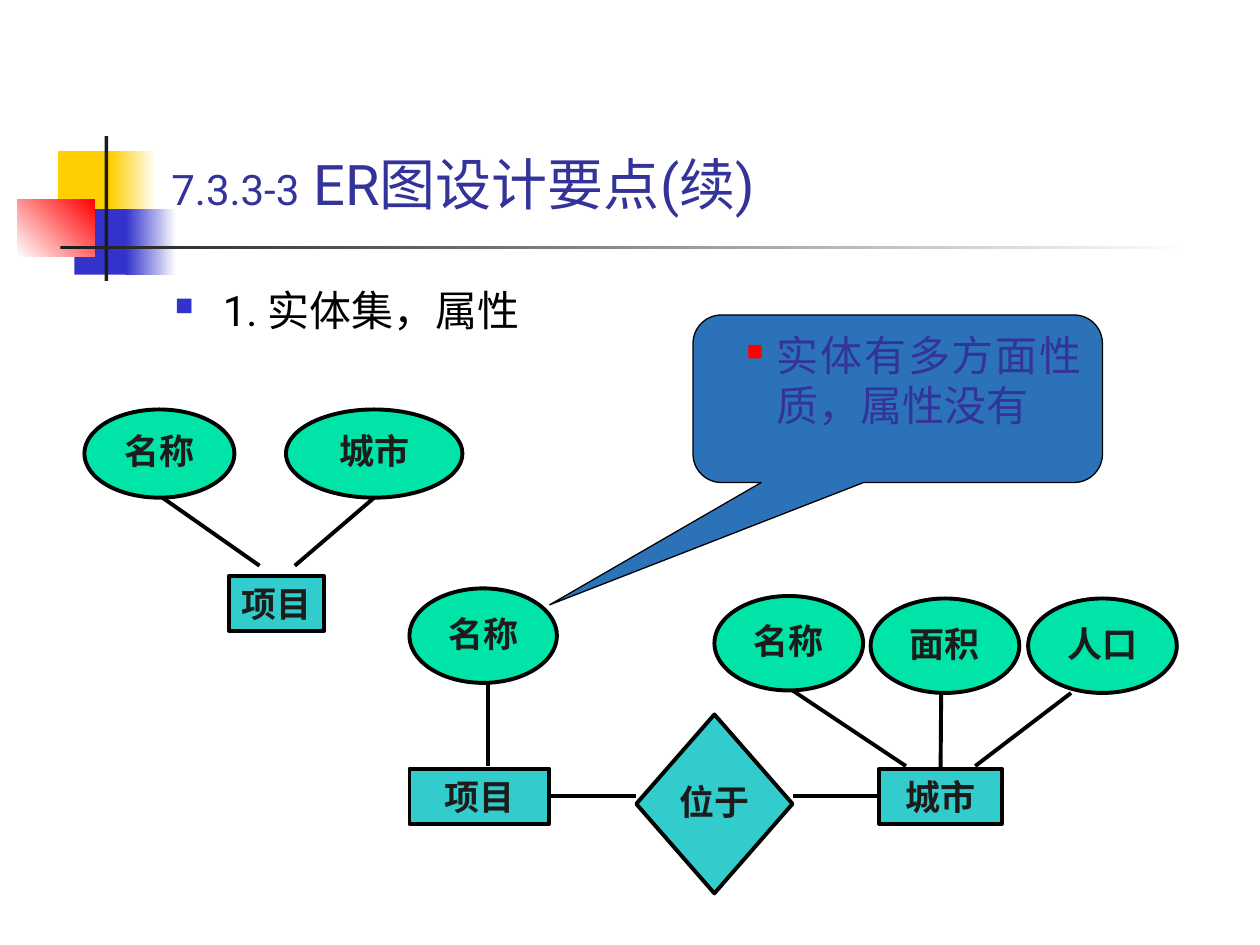
"""Build the slide on ER design points: entity sets versus attributes."""
from dataclasses import dataclass
from typing import Optional

from lxml import etree
from pptx import Presentation
from pptx.dml.color import RGBColor
from pptx.enum.shapes import MSO_CONNECTOR, MSO_SHAPE
from pptx.enum.text import MSO_ANCHOR, MSO_AUTO_SIZE, PP_ALIGN
from pptx.oxml.ns import qn
from pptx.util import Inches, Pt

RECT = MSO_SHAPE.RECTANGLE
OVAL = MSO_SHAPE.OVAL
DIAMOND = MSO_SHAPE.DIAMOND
CALLOUT = MSO_SHAPE.ROUNDED_RECTANGULAR_CALLOUT
STRAIGHT = MSO_CONNECTOR.STRAIGHT
LEFT, CENTER, JUSTIFY = PP_ALIGN.LEFT, PP_ALIGN.CENTER, PP_ALIGN.JUSTIFY
TOP, MIDDLE, BOTTOM = MSO_ANCHOR.TOP, MSO_ANCHOR.MIDDLE, MSO_ANCHOR.BOTTOM
TOP_SIDE, LEFT_SIDE, RIGHT_SIDE = 0, 1, 3

WHITE, BLACK, DARK = "FFFFFF", "000000", "1C1C1C"
YELLOW, BLUE, RED = "FFCF01", "3333CC", "FF0000"
HEADING, TEAL, GREEN, CALLOUT_BLUE = "333399", "33CCCC", "00E4A8", "2C72B8"


@dataclass(frozen=True)
class Block:
    left: float
    top: float
    width: float
    height: float
    color: str
    fade_to: Optional[str] = None
    angle: float = 0


@dataclass(frozen=True)
class Node:
    kind: MSO_SHAPE
    label: str
    left: float
    top: float
    width: float
    height: float


@dataclass(frozen=True)
class Link:
    start: tuple[float, float]
    end: tuple[float, float]
    start_node: Optional[Node] = None
    side: int = TOP_SIDE


DECOR = [
    Block(0.46, 1.2, 0.48, 0.52, YELLOW),
    Block(0.88, 1.2, 0.36, 0.52, YELLOW, WHITE),
    Block(0.59, 1.66, 0.46, 0.52, BLUE),
    Block(1, 1.66, 0.4, 0.52, BLUE, WHITE),
    Block(0.14, 1.58, 0.61, 0.46, WHITE, RED, 45),
    Block(0.83, 1.08, 0.03, 1.15, DARK),
    Block(0.48, 1.95, 9, 0.03, DARK, WHITE),
]
PROJECT = Node(RECT, "项目", 3.25, 6.1, 1.11, 0.44)
CITY = Node(RECT, "城市", 6.98, 6.1, 0.97, 0.44)
NODES = [
    Node(RECT, "项目", 1.82, 4.57, 0.75, 0.44),
    Node(OVAL, "名称", 0.67, 3.25, 1.19, 0.7),
    Node(OVAL, "城市", 2.27, 3.25, 1.4, 0.7),
    PROJECT,
    CITY,
    Node(DIAMOND, "位于", 5.05, 5.67, 1.24, 1.42),
    Node(OVAL, "名称", 3.25, 4.67, 1.17, 0.75),
    Node(OVAL, "名称", 5.67, 4.73, 1.18, 0.75),
    Node(OVAL, "面积", 6.91, 4.75, 1.18, 0.75),
    Node(OVAL, "人口", 8.16, 4.75, 1.18, 0.75),
]
LINKS = [
    Link((2.97, 3.95), (2.34, 4.49)),
    Link((2.06, 4.49), (1.29, 3.95)),
    Link((4.36, 6.32), (5.05, 6.32), PROJECT, RIGHT_SIDE),
    Link((6.98, 6.32), (6.29, 6.32), CITY, LEFT_SIDE),
    Link((3.87, 6.08), (3.87, 5.42)),
    Link((7.19, 6.08), (6.29, 5.48)),
    Link((7.47, 6.1), (7.47, 5.5), CITY, TOP_SIDE),
    Link((7.74, 6.08), (8.5, 5.5)),
]


def rgb(color: str) -> RGBColor:
    return RGBColor.from_string(color)


def place(shape, left: float, top: float, width: float, height: float) -> None:
    shape.left, shape.top = Inches(left), Inches(top)
    shape.width, shape.height = Inches(width), Inches(height)


def add_outlined(slide, kind, box, fill: str, line_width: float):
    shape = slide.shapes.add_shape(kind, *map(Inches, box))
    shape.shadow.inherit = False
    shape.fill.solid()
    shape.fill.fore_color.rgb = rgb(fill)
    shape.line.color.rgb = rgb(BLACK)
    shape.line.width = Pt(line_width)
    return shape


def set_font(font, size: float, color: str, name: str = "Roboto", bold: bool = False) -> None:
    font.name, font.size, font.bold = name, Pt(size), bold
    font.color.rgb = rgb(color)


def add_decor(slide, block: Block) -> None:
    box = (block.left, block.top, block.width, block.height)
    shape = add_outlined(slide, RECT, box, block.color, 0)
    shape.line.fill.background()
    if block.fade_to:
        shape.fill.gradient()
        shape.fill.gradient_angle = block.angle
        for stop, color in zip(shape.fill.gradient_stops, (block.color, block.fade_to)):
            stop.color.rgb = rgb(color)


def add_node(slide, node: Node):
    fill = GREEN if node.kind == OVAL else TEAL
    box = (node.left, node.top, node.width, node.height)
    shape = add_outlined(slide, node.kind, box, fill, 2.25)
    frame = shape.text_frame
    frame.word_wrap, frame.vertical_anchor = False, MIDDLE
    label = frame.paragraphs[0]
    label.text, label.alignment = node.label, CENTER
    if node.kind != RECT:
        label.line_spacing = 0.9
    set_font(label.font, 20, DARK, "Times New Roman", True)
    return shape


def add_link(slide, link: Link, shapes: dict) -> None:
    line = slide.shapes.add_connector(STRAIGHT, *map(Inches, link.start + link.end))
    line.line.color.rgb = rgb(BLACK)
    line.line.width = Pt(2.25)
    etree.SubElement(line._element.spPr, qn("a:effectLst"))
    if link.start_node:
        line.begin_connect(shapes[link.start_node], link.side)


def write_bullet(frame, text: str, color: str, bullet_color: str, percent: int,
                 margin: float, hanging: float, alignment: PP_ALIGN) -> None:
    frame.word_wrap, frame.vertical_anchor = True, TOP
    point = frame.paragraphs[0]
    point.text, point.alignment = text, alignment
    props = point._p.get_or_add_pPr()
    props.set("marL", str(Inches(margin)))
    props.set("indent", str(-Inches(hanging)))
    tint = etree.SubElement(props, qn("a:buClr"))
    etree.SubElement(tint, qn("a:srgbClr"), val=bullet_color)
    etree.SubElement(props, qn("a:buSzPct"), val=str(percent * 1000))
    etree.SubElement(props, qn("a:buChar"), char="■")
    set_font(point.font, 24, color)


def write_title(title) -> None:
    place(title, 1.26, 0.82, 8.52, 0.95)
    frame = title.text_frame
    frame.auto_size, frame.vertical_anchor = MSO_AUTO_SIZE.NONE, BOTTOM
    heading = frame.paragraphs[0]
    heading.alignment = LEFT
    for text, size in (("7.3.3-3", 24), (" ER图设计要点(续)", 32)):
        run = heading.add_run()
        run.text = text
        set_font(run.font, size, HEADING)


def main() -> None:
    deck = Presentation()
    deck.slide_width, deck.slide_height = Inches(10), Inches(7.5)
    slide = deck.slides.add_slide(deck.slide_layouts[5])
    for block in DECOR:
        add_decor(slide, block)
    write_title(slide.shapes.title)

    topic = slide.shapes.add_textbox(*map(Inches, (1.29, 2.21, 8.5, 0.92)))
    write_bullet(topic.text_frame, "1. 实体集，属性", BLACK, BLUE, 60, 0.38, 0.38, LEFT)

    shapes = {node: add_node(slide, node) for node in NODES}
    for link in LINKS:
        add_link(slide, link, shapes)

    remark = add_outlined(slide, CALLOUT, (5.5, 2.5, 3.25, 1.33), CALLOUT_BLUE, 0.75)
    for index, value in enumerate((-0.85, 1.23, 0.17)):
        remark.adjustments[index] = value
    write_bullet(remark.text_frame, "实体有多方面性质，属性没有", HEADING, RED, 55, 0.5, 0.24, JUSTIFY)

    deck.save("out.pptx")


if __name__ == "__main__":
    main()
